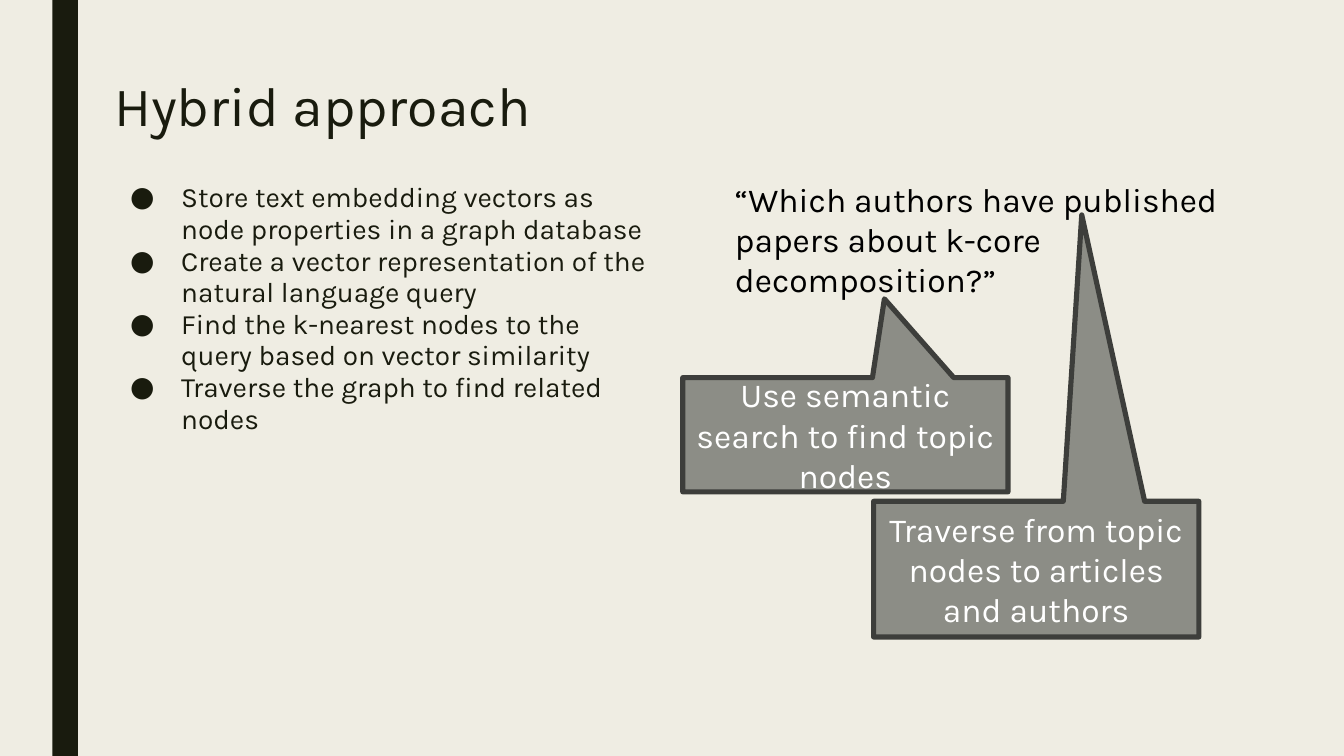
from pptx import Presentation
from pptx import util as u
from pptx.dml.color import RGBColor
from pptx.enum import shapes, text
from lxml import etree

FONT = "Karla"
STEP_SIZE = 15
COLORS = {
    "background": "EFEDE3",
    "dark": "191B0E",
    "question": "000000",
    "callout": "8C8D86",
    "outline": "3D3E3B",
    "callout_text": "FFFFFF",
}


def color(name):
    return RGBColor.from_string(COLORS[name])


def place(box):
    return [u.Inches(length) for length in box]


def set_frame(frame, inset_y, anchor=text.MSO_ANCHOR.TOP):
    frame.word_wrap = True
    frame.vertical_anchor = anchor
    frame.margin_left = frame.margin_right = u.Inches(0.1)
    frame.margin_top = frame.margin_bottom = u.Inches(inset_y)


def add_run(paragraph, words, size, color_name):
    run = paragraph.add_run()
    run.text = words
    run.font.name = FONT
    run.font.size = u.Pt(size)
    run.font.color.rgb = color(color_name)


def add_bullet(paragraph):
    properties = paragraph._p.get_or_add_pPr()
    properties.set("marL", str(u.Inches(0.5)))
    properties.set("indent", str(u.Inches(-0.38)))
    prefix = f"{{{properties.nsmap['a']}}}"
    bullet_color = etree.SubElement(properties, prefix + "buClr")
    etree.SubElement(bullet_color, prefix + "srgbClr", val=COLORS["dark"])
    etree.SubElement(properties, prefix + "buSzPts", val=str(STEP_SIZE * 100))
    etree.SubElement(properties, prefix + "buFont", typeface=FONT)
    etree.SubElement(properties, prefix + "buChar", char="●")


def add_side_bar(slide, box):
    bar = slide.shapes.add_shape(shapes.MSO_SHAPE.RECTANGLE, *place(box))
    bar.shadow.inherit = False
    bar.fill.solid()
    bar.fill.fore_color.rgb = color("dark")
    bar.line.fill.background()


def add_title(slide, box, words):
    frame = slide.shapes.add_textbox(*place(box)).text_frame
    set_frame(frame, 0.1)
    frame.paragraphs[0].line_spacing = 0.89
    add_run(frame.paragraphs[0], words, 29.7, "dark")


def add_steps(slide, box, steps):
    frame = slide.shapes.add_textbox(*place(box)).text_frame
    set_frame(frame, 0.1)
    for index, step in enumerate(steps):
        paragraph = frame.add_paragraph() if index else frame.paragraphs[0]
        paragraph.line_spacing = 0.94
        add_bullet(paragraph)
        add_run(paragraph, step, STEP_SIZE, "dark")


def add_question(slide, box, words):
    frame = slide.shapes.add_textbox(*place(box)).text_frame
    set_frame(frame, 0.05)
    frame.auto_size = text.MSO_AUTO_SIZE.SHAPE_TO_FIT_TEXT
    add_run(frame.paragraphs[0], words, 18, "question")


def add_callout(slide, box, tip, words):
    """Tip is the pointer's offset from the centre, in widths and heights."""
    callout = slide.shapes.add_shape(
        shapes.MSO_SHAPE.RECTANGULAR_CALLOUT, *place(box))
    callout.adjustments[0], callout.adjustments[1] = tip
    callout.shadow.inherit = False
    callout.fill.solid()
    callout.fill.fore_color.rgb = color("callout")
    callout.line.color.rgb = color("outline")
    callout.line.width = u.Pt(2.75)
    frame = callout.text_frame
    set_frame(frame, 0.05, text.MSO_ANCHOR.MIDDLE)
    frame.paragraphs[0].alignment = text.PP_ALIGN.CENTER
    add_run(frame.paragraphs[0], words, 18, "callout_text")


def main():
    deck = Presentation()
    # Widescreen, 16:9
    deck.slide_width = u.Inches(10)
    deck.slide_height = deck.slide_width * 9 // 16
    slide = deck.slides.add_slide(deck.slide_layouts[6])
    slide.background.fill.solid()
    slide.background.fill.fore_color.rgb = color("background")

    # Heading and list of steps
    add_side_bar(slide, (0.39, 0, 0.19, deck.slide_height / u.Inches(1)))
    add_title(slide, (0.75, 0.49, 8.91, 0.63), "Hybrid approach")
    add_steps(slide, (0.75, 1.26, 4.18, 3.74), [
        "Store text embedding vectors as node properties in a graph database",
        "Create a vector representation of the natural language query",
        "Find the k-nearest nodes to the query based on vector similarity",
        "Traverse the graph to find related nodes",
    ])

    # Example question and the callouts that point into it
    add_question(slide, (5.37, 1.28, 3.85, 1.01),
                 "“Which authors have published papers about k-core "
                 "decomposition?”")
    add_callout(slide, (5.08, 2.81, 2.42, 0.85), (0.12, -1.19),
                "Use semantic search to find topic nodes")
    add_callout(slide, (6.5, 3.73, 2.42, 1.01), (0.14, -2.61),
                "Traverse from topic nodes to articles and authors")

    deck.save("out.pptx")


if __name__ == "__main__":
    main()
